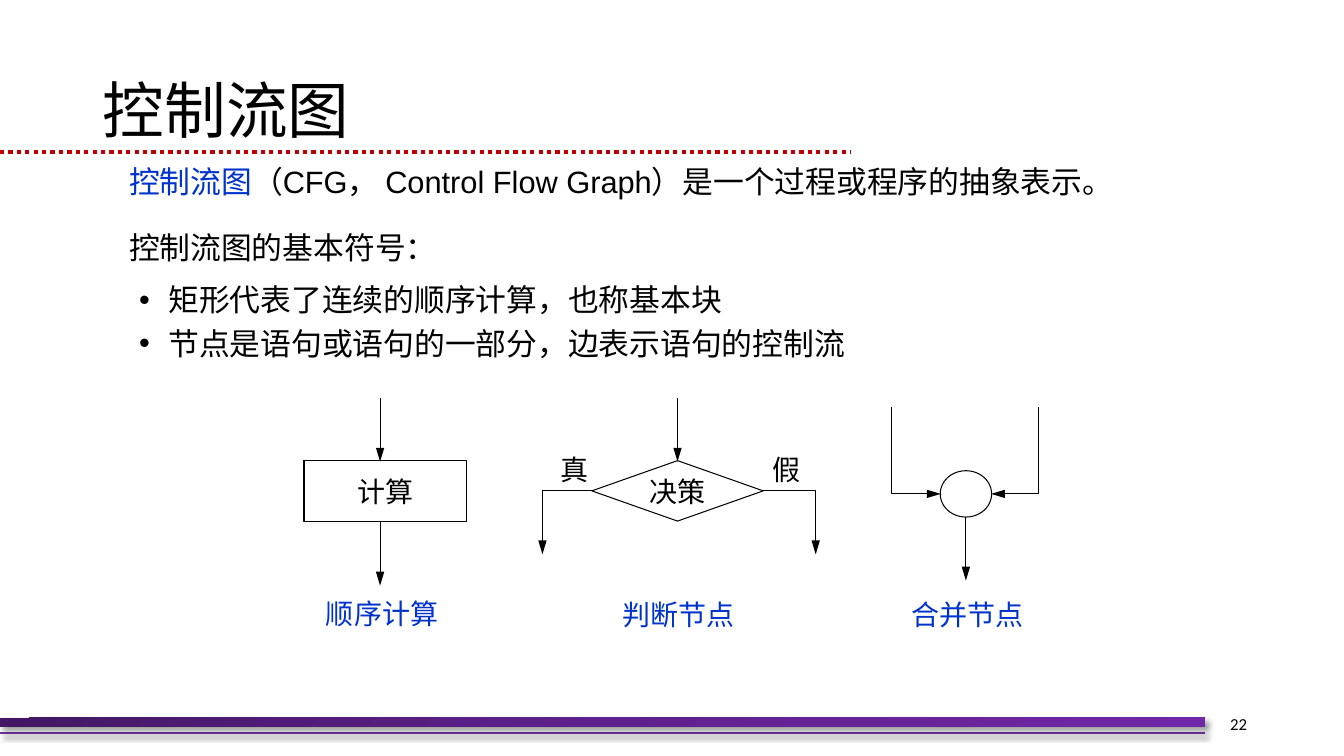
import lxml.etree
import pptx
import pptx.dml.color
import pptx.enum.dml
import pptx.enum.shapes
import pptx.enum.text
import pptx.oxml.ns
import pptx.util

Inches = pptx.util.Inches
Pt = pptx.util.Pt
qn = pptx.oxml.ns.qn
SHAPE = pptx.enum.shapes.MSO_SHAPE
ALIGN = pptx.enum.text.PP_ALIGN
MIDDLE = pptx.enum.text.MSO_ANCHOR.MIDDLE

COLORS = {
    "text": "000000",
    "accent": "0033CC",
    "rule": "C00000",
    "purple": "7030A0",
}
BAR_STOPS = [(0, "431764"), (50, "5F218E"), (100, "7128A8")]
CJK = "Noto Sans CJK SC"


def rgb(name):
    return pptx.dml.color.RGBColor.from_string(COLORS[name])


def sub(parent, tag, **attrs):
    el = lxml.etree.SubElement(parent, qn(tag))
    for key, value in attrs.items():
        el.set(key, str(value))
    return el


def add_run(p, text, size, color="text", font=CJK):
    r = p.add_run()
    r.text = text
    r.font.size = Pt(size)
    r.font.name = font
    r.font.color.rgb = rgb(color)
    sub(r.font._element, "a:ea", typeface=CJK)


def zero_margins(tf):
    tf.margin_left = tf.margin_right = tf.margin_top = tf.margin_bottom = 0


def add_box(s, x, y, w, h):
    tf = s.shapes.add_textbox(Inches(x), Inches(y), Inches(w), Inches(h)).text_frame
    tf.word_wrap = True
    zero_margins(tf)
    return tf


def add_label(s, text, cx, y, w, color="text"):
    p = add_box(s, cx - w / 2, y, w, 0.36).paragraphs[0]
    p.alignment = ALIGN.CENTER
    add_run(p, text, 20, color)


def add_shadow(spPr):
    effects = spPr.find(qn("a:effectLst"))
    shadow = sub(effects, "a:outerShdw", blurRad=Pt(4), dist=Pt(3), dir=45 * 60000)
    sub(sub(shadow, "a:srgbClr", val=COLORS["text"]), "a:alpha", val=40000)


def add_line(s, start, end, color="text", width=0.75):
    points = [Inches(v) for v in (*start, *end)]
    line = s.shapes.add_connector(pptx.enum.shapes.MSO_CONNECTOR.STRAIGHT, *points)
    line.line.color.rgb = rgb(color)
    line.line.width = Pt(width)
    sub(line._element.spPr, "a:effectLst")
    return line


def set_outline(sp):
    sp.shadow.inherit = False
    sp.fill.background()
    sp.line.color.rgb = rgb("text")
    sp.line.width = Pt(0.75)


def add_head(line):
    sub(line.line._get_or_add_ln(), "a:tailEnd", type="triangle", w="med", len="lg")


def add_arrow(s, start, end):
    add_head(add_line(s, start, end))


def add_bent_arrow(s, *points):
    start, *rest = [(Inches(x), Inches(y)) for x, y in points]
    builder = s.shapes.build_freeform(*start)
    builder.add_line_segments(rest, close=False)
    sp = builder.convert_to_shape()
    set_outline(sp)
    add_head(sp)


def add_node(s, shape, cx, y, w, h, text=""):
    sp = s.shapes.add_shape(shape, Inches(cx - w / 2), Inches(y), Inches(w), Inches(h))
    set_outline(sp)
    if text:
        tf = sp.text_frame
        zero_margins(tf)
        tf.word_wrap = False
        tf.vertical_anchor = MIDDLE
        tf.paragraphs[0].alignment = ALIGN.CENTER
        add_run(tf.paragraphs[0], text, 20)


def add_footer(s):
    line = add_line(s, (0, 7.27), (11.95, 7.27), "purple", 1.5)
    add_shadow(line._element.spPr)
    bar = s.shapes.add_shape(SHAPE.RECTANGLE, 0, Inches(7.12), Inches(11.95), Inches(0.09))
    bar.line.fill.background()
    bar.shadow.inherit = False
    spPr = bar._element.spPr
    add_shadow(spPr)
    grad = sub(spPr, "a:gradFill", rotWithShape=1)
    stops = sub(grad, "a:gsLst")
    for pos, color in BAR_STOPS:
        sub(sub(stops, "a:gs", pos=pos * 1000), "a:srgbClr", val=color)
    sub(grad, "a:lin", ang=45 * 60000, scaled=0)
    spPr.find(qn("a:prstGeom")).addnext(grad)

    tf = add_box(s, 11.38, 6.98, 0.99, 0.4)
    tf.vertical_anchor = MIDDLE
    tf.paragraphs[0].alignment = ALIGN.RIGHT
    add_run(tf.paragraphs[0], "22", 12, font="Calibri")


def add_title(s, text):
    title = s.shapes.title
    title.left, title.top = Inches(0.92), Inches(0.4)
    title.width, title.height = Inches(11.5), Inches(1.45)
    tf = title.text_frame
    tf.vertical_anchor = MIDDLE
    p = tf.paragraphs[0]
    p.alignment = ALIGN.LEFT
    p.line_spacing = 0.9
    add_run(p, text, 44)
    rule = add_line(s, (0, 1.51), (8.44, 1.51), "rule", 3)
    rule.line.dash_style = pptx.enum.dml.MSO_LINE.ROUND_DOT


def add_bullet(tf, text, before):
    p = tf.add_paragraph()
    pPr = p._p.get_or_add_pPr()
    pPr.set("marL", str(Inches(0.39)))
    pPr.set("indent", str(Inches(-0.29)))
    sub(pPr, "a:buFont", typeface="Arial")
    sub(pPr, "a:buChar", char="•")
    p.space_before = Pt(before)
    add_run(p, text, 22)


def add_body(s):
    tf = add_box(s, 1.28, 1.61, 10.1, 1.99)
    p = tf.paragraphs[0]
    add_run(p, "控制流图", 22, "accent")
    add_run(p, "（", 22)
    add_run(p, "CFG", 22, font="Arial")
    add_run(p, "， ", 22)
    add_run(p, "Control Flow Graph", 22, font="Arial")
    add_run(p, "）是一个过程或程序的抽象表示。", 22)
    p = tf.add_paragraph()
    p.space_before = Pt(21.3)
    add_run(p, "控制流图的基本符号：", 22)
    add_bullet(tf, "矩形代表了连续的顺序计算，也称基本块", 10.8)
    add_bullet(tf, "节点是语句或语句的一部分，边表示语句的控制流", 4.6)


def add_sequence(s, cx):
    add_node(s, SHAPE.RECTANGLE, cx + 0.05, 4.57, 1.61, 0.6, "计算")
    add_arrow(s, (cx, 3.95), (cx, 4.58))
    add_arrow(s, (cx, 5.17), (cx, 5.81))
    add_label(s, "顺序计算", cx + 0.02, 5.92, 1.14, "accent")


def add_decision(s, cx):
    add_node(s, SHAPE.DIAMOND, cx, 4.57, 1.7, 0.6, "决策")
    add_arrow(s, (cx, 3.95), (cx, 4.58))
    for side, x, text, label_x in ((-1, 5.38, "真", 5.7), (1, 8.09, "假", 7.8)):
        add_bent_arrow(s, (cx + side * 0.85, 4.87), (x, 4.87), (x, 5.5))
        add_label(s, text, label_x, 4.49, 0.31)
    add_label(s, "判断节点", cx + 0.01, 5.93, 1.14, "accent")


def add_merge(s, cx):
    add_node(s, SHAPE.OVAL, cx, 4.67, 0.51, 0.46)
    for side, x in ((-1, 8.84), (1, 10.3)):
        add_bent_arrow(s, (x, 4.04), (x, 4.9), (cx + side * 0.25, 4.9))
    add_arrow(s, (cx, 5.13), (cx, 5.76))
    add_label(s, "合并节点", cx + 0.02, 5.93, 1.14, "accent")


def main():
    prs = pptx.Presentation()
    prs.slide_width, prs.slide_height = Inches(13.33), Inches(7.5)
    s = prs.slides.add_slide(prs.slide_layouts[5])
    add_footer(s)
    add_title(s, "控制流图")
    add_body(s)
    add_sequence(s, 3.77)
    add_decision(s, 6.72)
    add_merge(s, 9.58)
    prs.save("out.pptx")


if __name__ == "__main__":
    main()
